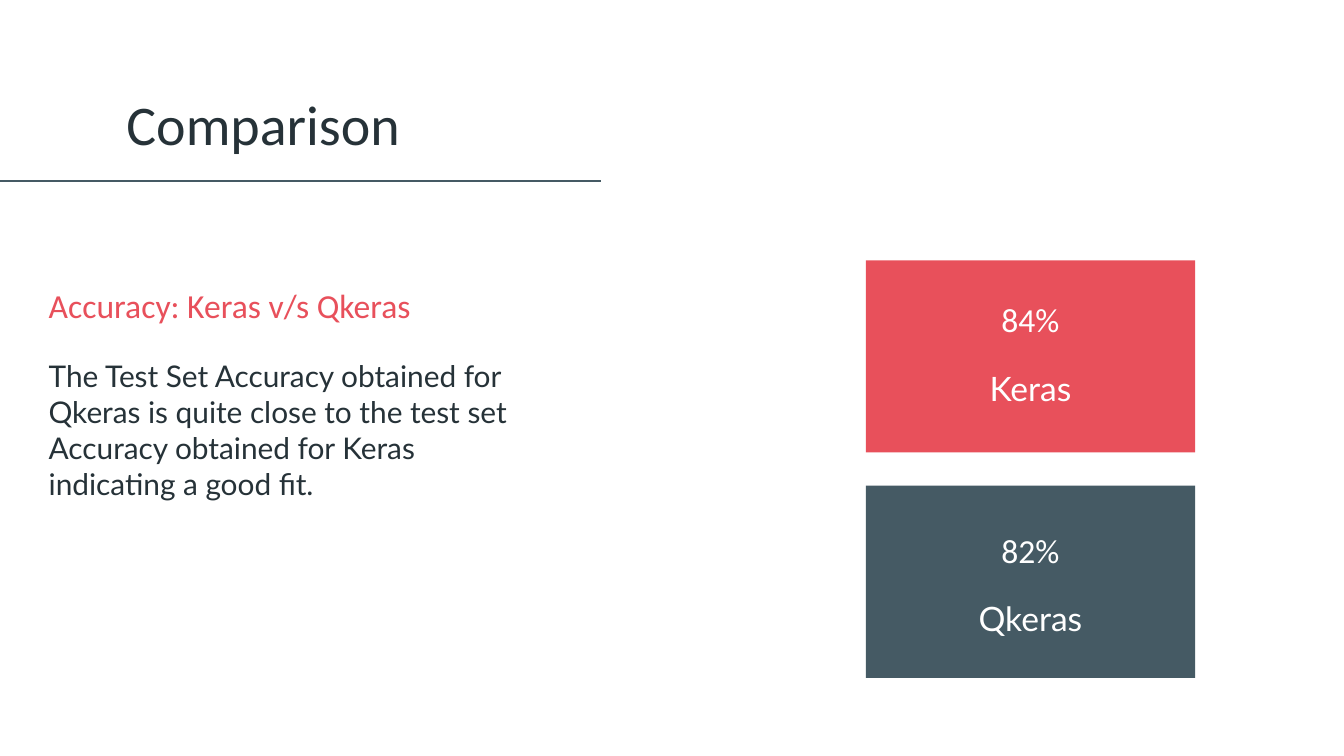
from dataclasses import dataclass

from lxml import etree
from pptx import Presentation
from pptx import util as u
from pptx.dml.color import RGBColor
from pptx.enum import shapes, text
from pptx.oxml.ns import qn
from pptx.slide import Slide


@dataclass(frozen=True)
class Theme:
    red: str = "E8505B"
    slate: str = "455A64"
    ink: str = "263238"
    white: str = "FFFFFF"
    head: str = "Calibri"
    body: str = "Lato"
    big: int = 30
    mid: int = 18
    small: int = 16
    rule: float = 0.75


@dataclass(frozen=True)
class Box:
    col: float
    row: float
    cols: float
    rows: float

    def emu(self) -> list[int]:
        return [cell(n) for n in (self.col, self.row, self.cols, self.rows)]


@dataclass(frozen=True)
class Label:
    words: str
    box: Box
    size: int
    font: str
    color: str
    align: text.PP_ALIGN = text.PP_ALIGN.LEFT
    anchor: text.MSO_ANCHOR = text.MSO_ANCHOR.TOP


@dataclass(frozen=True)
class Card:
    score: str
    name: str
    fill: str
    pad: float


THEME = Theme()
COLS, ROWS = 100, 56.25
LEFT, TOP, WIDTH, HEIGHT, STEP = 64.42, 19.37, 24.5, 14.3, 16.77
INSET = 5.7

LABELS = [
    Label("Accuracy: Keras v/s Qkeras", Box(2.64, 19.7, 36.9, 5.5),
          THEME.mid, THEME.head, THEME.red, anchor=text.MSO_ANCHOR.BOTTOM),
    Label("The Test Set Accuracy obtained for Qkeras is quite close to the "
          "test set Accuracy obtained for Keras indicating a good fit.",
          Box(2.64, 25.63, 36.9, 14.3), THEME.small, THEME.body, THEME.ink),
    Label("Comparison", Box(8.42, 4.4, 47.9, 8.3),
          THEME.big, THEME.head, THEME.ink, anchor=text.MSO_ANCHOR.BOTTOM),
]
CARDS = [
    Card("84%", "Keras", THEME.red, 1.9),
    Card("82%", "Qkeras", THEME.slate, 2.26),
]


def cell(count: float) -> int:
    return u.Inches(count / 10)


def write(slide: Slide, label: Label) -> None:
    frame = slide.shapes.add_textbox(*label.box.emu()).text_frame
    frame.word_wrap = True
    frame.vertical_anchor = label.anchor
    frame.margin_left = frame.margin_right = cell(1)
    frame.margin_top = frame.margin_bottom = cell(1)
    frame.text = label.words
    para = frame.paragraphs[0]
    para.alignment = label.align
    font = para.runs[0].font
    font.size = u.Pt(label.size)
    font.name = label.font
    font.color.rgb = RGBColor.from_string(label.color)


def rule(slide: Slide, row: float, cols: float) -> None:
    line = slide.shapes.add_connector(
        shapes.MSO_CONNECTOR.STRAIGHT, 0, cell(row), cell(cols), cell(row))
    line.line.color.rgb = RGBColor.from_string(THEME.slate)
    line.line.width = u.Pt(THEME.rule)
    etree.SubElement(line._element.spPr, qn("a:effectLst"))


def draw(slide: Slide, card: Card, top: float) -> None:
    panel = slide.shapes.add_shape(
        shapes.MSO_SHAPE.RECTANGLE, *Box(LEFT, top, WIDTH, HEIGHT).emu())
    panel.shadow.inherit = False
    panel.fill.solid()
    panel.fill.fore_color.rgb = RGBColor.from_string(card.fill)
    panel.line.fill.background()
    score = Box(LEFT + INSET, top + card.pad, WIDTH - 2 * INSET, 6.2)
    name = Box(LEFT, score.row + 5.1, WIDTH, 5.4)
    for words, box, font in ((card.score, score, THEME.head),
                             (card.name, name, THEME.body)):
        write(slide, Label(words, box, THEME.mid, font, THEME.white,
                           text.PP_ALIGN.CENTER))


def main() -> None:
    deck = Presentation()
    deck.slide_width, deck.slide_height = cell(COLS), cell(ROWS)
    slide = deck.slides.add_slide(deck.slide_layouts[6])
    rule(slide, 13.47, 44.7)
    for label in LABELS:
        write(slide, label)
    for place, card in enumerate(CARDS):
        draw(slide, card, TOP + place * STEP)
    deck.save("out.pptx")


if __name__ == "__main__":
    main()
